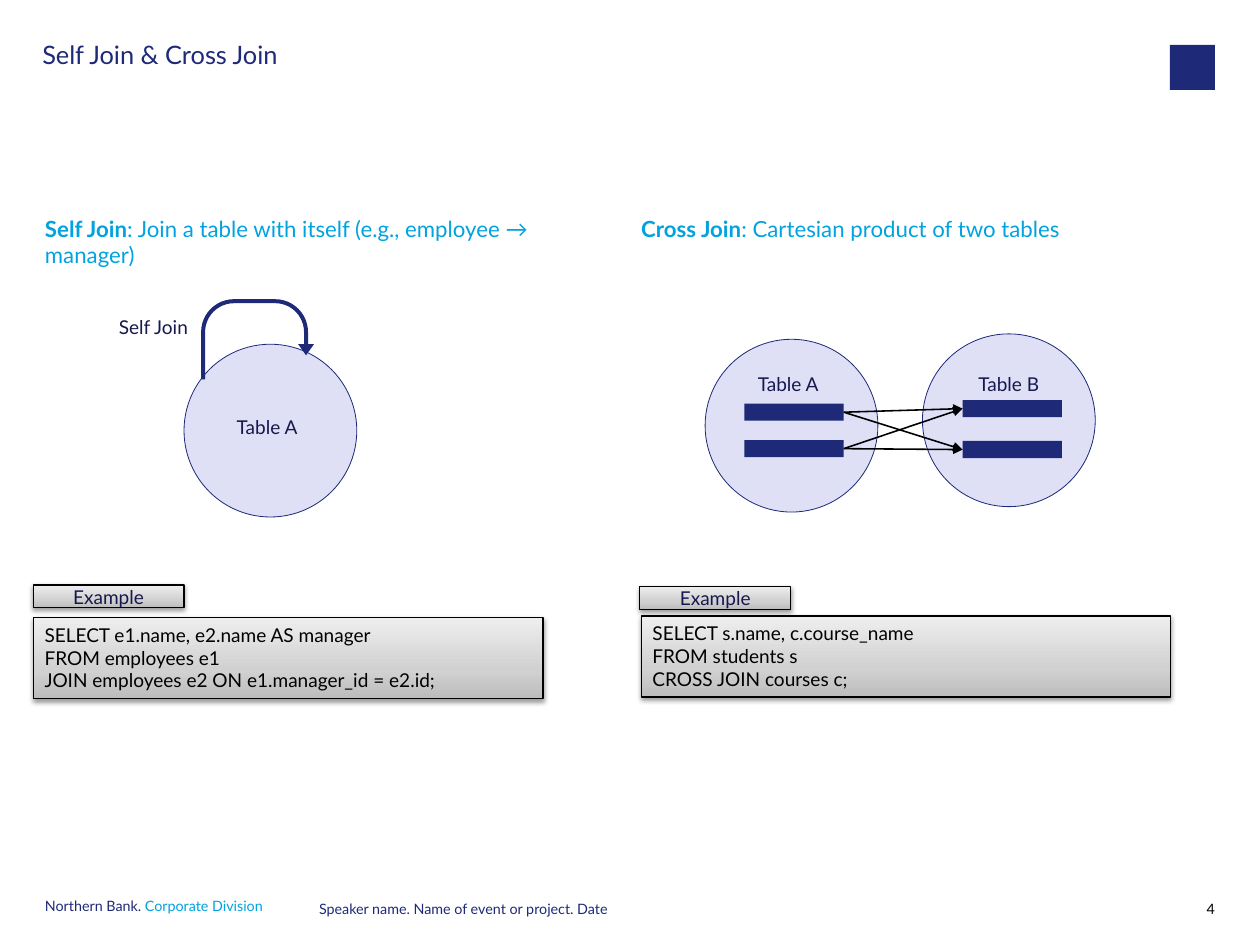
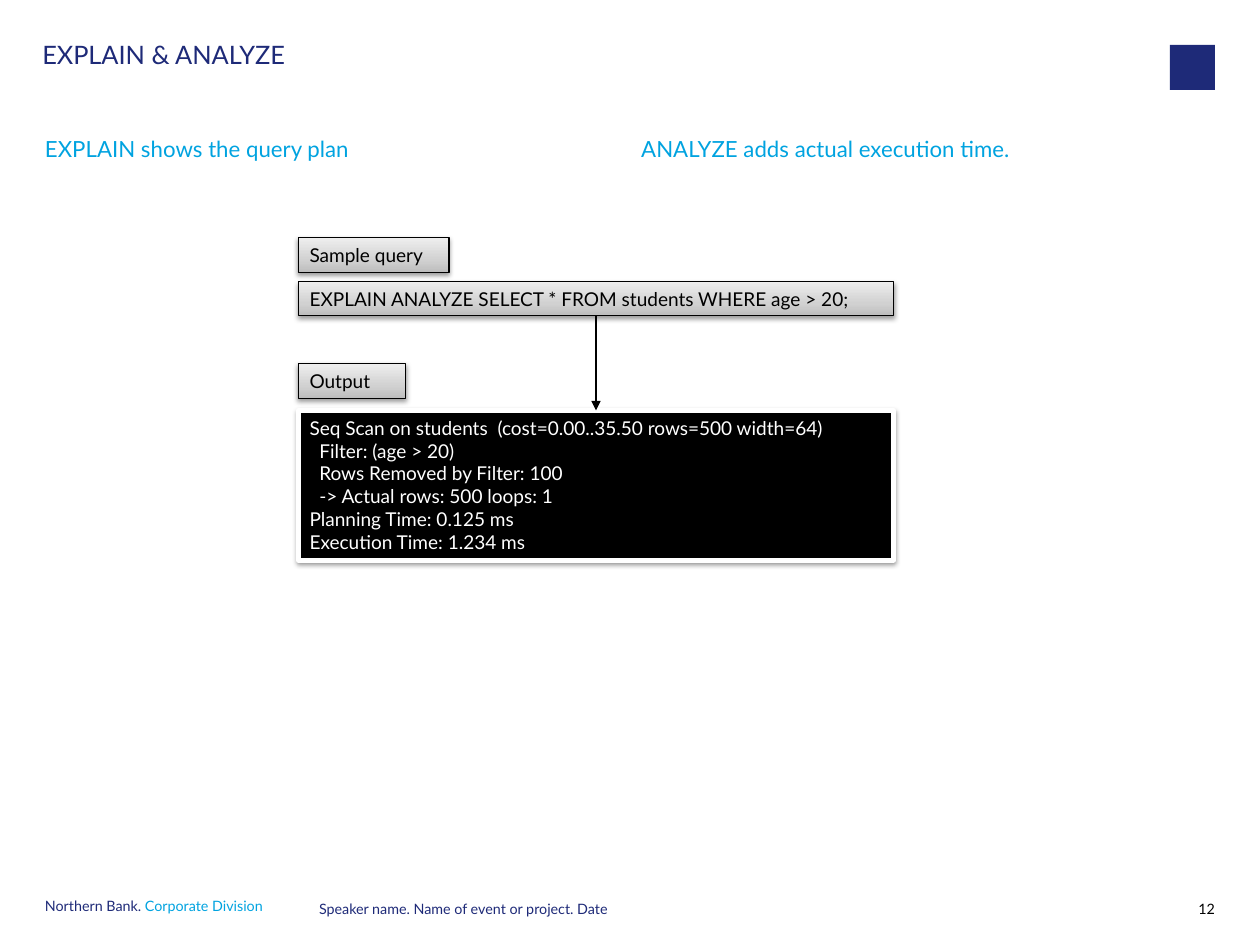
from copy import deepcopy
from dataclasses import dataclass
from itertools import product

from lxml import etree
from pptx import Presentation
from pptx.dml.color import RGBColor
from pptx.enum.shapes import MSO_CONNECTOR, MSO_SHAPE
from pptx.enum.text import MSO_ANCHOR, PP_ALIGN
from pptx.oxml.ns import qn
from pptx.util import Cm, Pt

OVAL, RECT, UTURN = MSO_SHAPE.OVAL, MSO_SHAPE.RECTANGLE, MSO_SHAPE.U_TURN_ARROW
STRAIGHT = MSO_CONNECTOR.STRAIGHT
LEFT, CENTER, RIGHT = PP_ALIGN.LEFT, PP_ALIGN.CENTER, PP_ALIGN.RIGHT
TOP, MIDDLE = MSO_ANCHOR.TOP, MSO_ANCHOR.MIDDLE
SITE_TOP, SITE_LEFT, SITE_BOTTOM, SITE_RIGHT = range(4)
BLANK_LAYOUT = 6


def rgb(code):
    return RGBColor.from_string(code)


@dataclass(frozen=True)
class Theme:
    font: str = "Lato"
    navy: RGBColor = rgb("1E2A78")
    ink: RGBColor = rgb("16184E")
    cyan: RGBColor = rgb("00A3E0")
    lavender: RGBColor = rgb("DFE0F6")
    black: RGBColor = rgb("000000")
    white: RGBColor = rgb("FFFFFF")
    panel_stops: tuple = ((0, rgb("BDBDBD")), (0.35, rgb("D1D1D1")), (1, rgb("EEEEEE")))
    title_size: int = 16
    body_size: int = 14
    label_size: int = 12
    footer_size: int = 9
    column_lefts: tuple = (1.0, 14.25)
    label_insets: tuple = (0.28, 0.15)
    code_insets: tuple = (0.25, 0.13)


class DeckBuilder:
    """Holds the deck, its theme and the slide being filled; lengths are in cm."""

    def __init__(self, theme):
        self.theme = theme
        self.deck = Presentation()
        self.deck.slide_width, self.deck.slide_height = Cm(28), Cm(21)
        self.page = None

    def new_page(self, title, number):
        theme = self.theme
        self.page = self.deck.slides.add_slide(self.deck.slide_layouts[BLANK_LAYOUT])
        self.text(0.94, 0.94, 24.05, 1.55, [[(title, theme.navy)]],
                  theme.title_size, spacing=0.9)
        self.shape(RECT, 26, 1, 1, 1, theme.navy)
        division = [("Northern Bank. ", theme.navy), ("Corporate Division", theme.cyan)]
        event = [("Speaker name. Name of event or project. Date", theme.navy)]
        self.footer(1, 20, 5.56, division)
        self.footer(7.09, 20.07, 13.72, event)
        self.footer(26, 20.07, 1, [(str(number), theme.black)], RIGHT)

    def footer(self, left, top, width, spans, align=LEFT):
        size = self.theme.footer_size
        self.text(left, top, width, 0.5, [spans], size, align=align, spacing=Pt(size))

    def fill_text(self, box, lines, size, insets=(0, 0), align=LEFT, anchor=TOP,
                  spacing=None, wrap=True):
        """Each line is a list of (text, colour) or (text, colour, bold) spans."""
        frame = box.text_frame
        frame.word_wrap = wrap
        frame.vertical_anchor = anchor
        frame.margin_left = frame.margin_right = Cm(insets[0])
        frame.margin_top = frame.margin_bottom = Cm(insets[1])
        for index, spans in enumerate(lines):
            para = frame.add_paragraph() if index else frame.paragraphs[0]
            para.alignment = align
            if spacing:
                para.line_spacing = spacing
            for text, color, *bold in spans:
                span = para.add_run()
                span.text = text
                span.font.name = self.theme.font
                span.font.size = Pt(size)
                span.font.bold = bool(bold and bold[0])
                span.font.color.rgb = color

    def text(self, left, top, width, height, lines, size, **options):
        box = self.page.shapes.add_textbox(Cm(left), Cm(top), Cm(width), Cm(height))
        self.fill_text(box, lines, size, **options)

    def heading(self, column, top, *spans):
        theme = self.theme
        colored = [(text, theme.cyan, bold) for text, bold in spans]
        self.text(theme.column_lefts[column], top, 12.75, 2, [colored], theme.body_size)

    def label(self, left, top, width, text):
        theme = self.theme
        self.text(left, top, width, 0.79, [[(text, theme.ink)]], theme.label_size,
                  insets=theme.label_insets, wrap=False)

    def shape(self, kind, left, top, width, height, fill=None, line=None, weight=0.5):
        """Without a fill colour the shape gets the panel gradient."""
        shape = self.page.shapes.add_shape(kind, Cm(left), Cm(top), Cm(width), Cm(height))
        if fill is None:
            self.fill_gradient(shape)
        else:
            shape.fill.solid()
            shape.fill.fore_color.rgb = fill
        if line is None:
            shape.line.fill.background()
        else:
            shape.line.color.rgb = line
            shape.line.width = Pt(weight)
        shape.shadow.inherit = False
        return shape

    def fill_gradient(self, shape):
        shape.fill.gradient()
        shape.fill.gradient_angle = 90
        stop_list = shape._element.spPr.find(qn("a:gradFill")).find(qn("a:gsLst"))
        stop_list.append(deepcopy(stop_list[-1]))
        for stop, (position, color) in zip(shape.fill.gradient_stops, self.theme.panel_stops):
            stop.position = position
            stop.color.rgb = color

    def add_shadow(self, shape):
        effects = shape._element.spPr.find(qn("a:effectLst"))
        shadow = etree.SubElement(effects, qn("a:outerShdw"), blurRad=str(Pt(3.1)),
                                  dist=str(Pt(1.6)), dir="5400000", rotWithShape="0")
        color = etree.SubElement(shadow, qn("a:srgbClr"), val=str(self.theme.black))
        etree.SubElement(color, qn("a:alpha"), val="38000")

    def panel(self, left, top, width, height, *lines, dark=False):
        """A shadowed box of code; dark gives it the look of a terminal."""
        theme = self.theme
        if dark:
            box = self.shape(RECT, left, top, width, height, theme.black, theme.white, 3)
        else:
            box = self.shape(RECT, left, top, width, height, None, theme.black, 0.75)
        self.add_shadow(box)
        color = theme.white if dark else theme.black
        self.fill_text(box, [[(line, color)] for line in lines], theme.label_size,
                       insets=theme.code_insets)
        return box

    def example_tag(self, left, top):
        theme = self.theme
        tag = self.shape(RECT, left, top, 3.35, 0.51, None, theme.black, 0.75)
        self.add_shadow(tag)
        self.fill_text(tag, [[("Example", theme.ink)]], theme.label_size,
                       insets=theme.label_insets, align=CENTER, anchor=MIDDLE)

    def table_circle(self, left, top):
        self.shape(OVAL, left, top, 3.84, 3.84, self.theme.lavender, self.theme.navy)

    def row_bars(self, left, tops):
        return [self.shape(RECT, left, top, 2.21, 0.38, self.theme.navy) for top in tops]

    def arrow(self, start, start_site, end, end_site):
        arrow = self.page.shapes.add_connector(STRAIGHT, 0, 0, 0, 0)
        arrow.begin_connect(start, start_site)
        arrow.end_connect(end, end_site)
        arrow.line.color.rgb = self.theme.black
        arrow.line.width = Pt(1)
        properties = arrow._element.spPr
        etree.SubElement(properties.find(qn("a:ln")), qn("a:tailEnd"), type="triangle")
        etree.SubElement(properties, qn("a:effectLst"))


def build_joins(builder):
    builder.new_page("Self Join & Cross Join", 4)
    builder.heading(0, 4.78, ("Self Join", True),
                    (": Join a table with itself (e.g., employee → manager)", False))
    builder.heading(1, 4.78, ("Cross Join", True),
                    (": Cartesian product of two tables", False))

    builder.table_circle(15.67, 7.54)
    builder.table_circle(20.5, 7.42)
    rows_a = builder.row_bars(16.54, (8.97, 9.78))
    rows_b = builder.row_bars(21.39, (8.89, 9.8))
    builder.label(16.56, 8.13, 2.06, "Table A")
    builder.label(21.46, 8.13, 2.06, "Table B")
    for row_a, row_b in product(rows_a, rows_b):
        builder.arrow(row_a, SITE_RIGHT, row_b, SITE_LEFT)

    builder.table_circle(4.09, 7.65)
    builder.label(4.98, 9.09, 2.06, "Table A")
    loop = builder.shape(UTURN, 4.47, 6.65, 2.51, 1.78, builder.theme.navy)
    for index, value in enumerate((0.05, 0.1, 0.14, 0.41, 0.7)):
        loop.adjustments[index] = value
    builder.label(2.36, 6.86, 2.29, "Self Join")

    builder.panel(0.74, 13.72, 11.33, 1.8, "SELECT e1.name, e2.name AS manager",
                  "FROM employees e1", "JOIN employees e2 ON e1.manager_id = e2.id;")
    builder.example_tag(0.74, 13)
    builder.panel(14.25, 13.69, 11.76, 1.8, "SELECT s.name, c.course_name",
                  "FROM students s", "CROSS JOIN courses c;")
    builder.example_tag(14.22, 13.03)


def build_explain(builder):
    builder.new_page("EXPLAIN & ANALYZE", 12)
    builder.heading(0, 3, ("EXPLAIN shows the query plan", False))
    builder.heading(1, 3, ("ANALYZE adds actual execution time.", False))

    left, width, row_height = 6.63, 13.23, 0.77
    query = builder.panel(left, 6.25, width, row_height,
                          "EXPLAIN ANALYZE SELECT * FROM students WHERE age > 20;")
    result = builder.panel(left, 9.12, width, 3.33,
                           "Seq Scan on students  (cost=0.00..35.50 rows=500 width=64)",
                           "  Filter: (age > 20)",
                           "  Rows Removed by Filter: 100",
                           "  -> Actual rows: 500 loops: 1",
                           "Planning Time: 0.125 ms",
                           "Execution Time: 1.234 ms", dark=True)
    builder.panel(left, 8.08, 2.39, row_height, "Output")
    builder.panel(left, 5.28, 3.35, row_height, "Sample query")
    builder.arrow(query, SITE_BOTTOM, result, SITE_TOP)


def main():
    builder = DeckBuilder(Theme())
    build_joins(builder)
    build_explain(builder)
    builder.deck.save("out.pptx")


if __name__ == "__main__":
    main()
